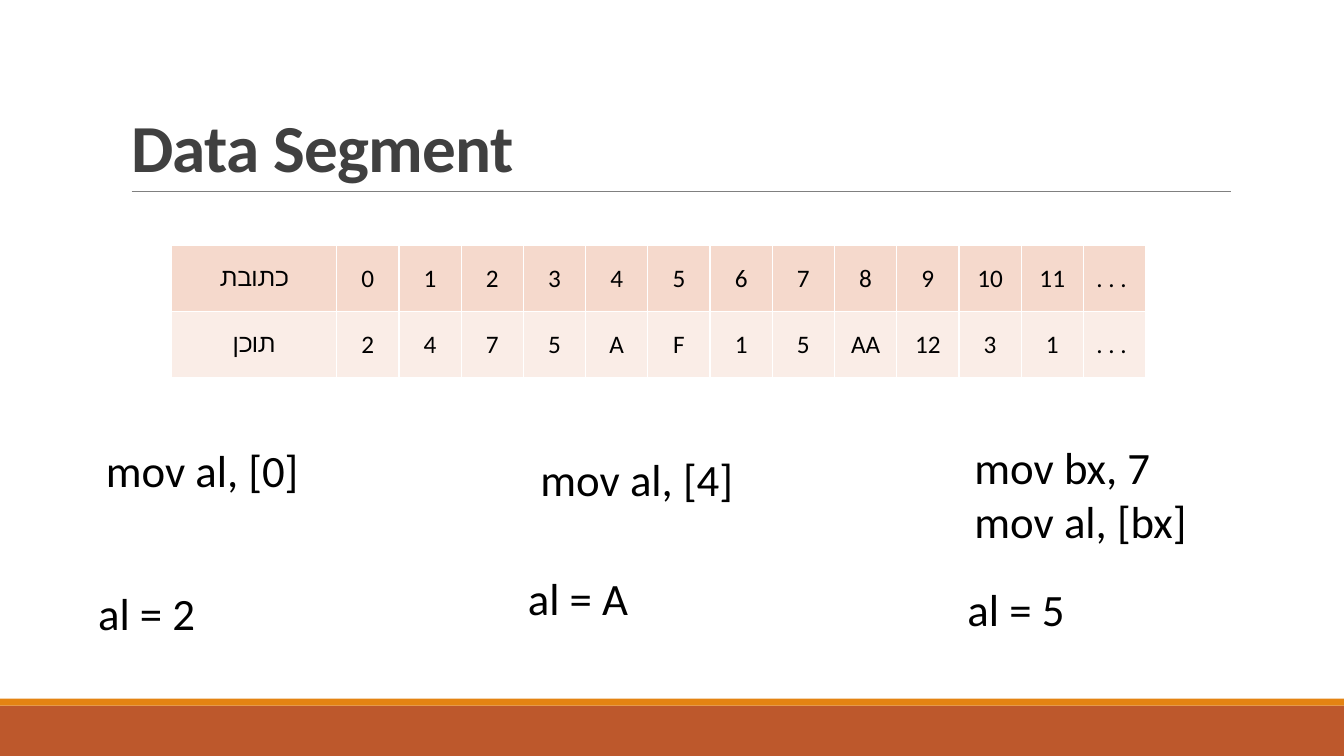
from lxml import etree
from pptx import Presentation
from pptx.dml.color import RGBColor
from pptx.enum import shapes, text
from pptx.oxml import ns
from pptx.util import Pt

TITLE = "Data Segment"
MEMORY = [
    ("F5D9CC", ["כתובת", *map(str, range(12)), ". . . "]),
    ("FAEDE7", ["תוכן", *"2 4 7 5 A F 1 5 AA 12 3 1".split(), ". . . "]),
]
BARS = [("BD582C", 504, 36), ("E48312", 499, 5)]  # colour, top, height
CODE = [  # text, left, top, width, height
    ("mov al, [0]", 68.5, 313, 153, 85),
    ("al = 2", 63, 414.5, 200, 85),
    ("mov al, [4]", 379, 319, 153, 85),
    ("al = A", 370, 404, 200, 85),
    ("mov bx, 7\vmov al, [bx]", 689, 310.5, 200, 124),
    ("al = 5", 684, 412, 200, 85),
]
WIDTH, HEIGHT = 960, 540
LABEL_W, CELL_W, ROW_H = 118, 44.45, 47.2
TABLE_LEFT, TABLE_TOP = 122.5, 175.5


def rgb(hex_colour):
    return RGBColor.from_string(hex_colour)


def box(left, top, width, height):
    return [Pt(v) for v in (left, top, width, height)]


def write(tf, words, colour="000000", align=text.PP_ALIGN.LEFT, **font):
    tf.word_wrap = True
    p = tf.paragraphs[0]
    p.text = words
    p.alignment = align
    for r in p.runs:
        for key, value in {"name": "Calibri", **font}.items():
            setattr(r.font, key, value)
        r.font.color.rgb = rgb(colour)
    return p


def add_borders(cell):
    """Draw a 1 pt white line on each side of the cell, ahead of its fill."""
    pr = cell._tc.get_or_add_tcPr()
    for i, side in enumerate(("lnL", "lnR", "lnT", "lnB")):
        ln = etree.Element(ns.qn(f"a:{side}"), w=str(Pt(1)))
        fill = etree.SubElement(ln, ns.qn("a:solidFill"))
        etree.SubElement(fill, ns.qn("a:srgbClr"), val="FFFFFF")
        pr.insert(i, ln)


def add_frame(s):
    for colour, top, height in BARS:
        sp = s.shapes.add_shape(shapes.MSO_SHAPE.RECTANGLE, *box(0, top, WIDTH, height))
        sp.shadow.inherit = False
        sp.fill.solid()
        sp.fill.fore_color.rgb = rgb(colour)
        sp.line.fill.background()
    rule = s.shapes.add_connector(shapes.MSO_CONNECTOR.STRAIGHT, *box(94, 136.7, 879, 136.7))
    rule.line.color.rgb = rgb("808080")
    rule.line.width = Pt(0.5)
    etree.SubElement(rule._element.spPr, ns.qn("a:effectLst"))


def add_title(s):
    sp = s.shapes.title
    sp.left, sp.top, sp.width, sp.height = box(86.4, 22.5, 792, 114.2)
    sp.text_frame.vertical_anchor = text.MSO_ANCHOR.BOTTOM
    p = write(sp.text_frame, TITLE, "404040", size=Pt(48), bold=True)
    p.line_spacing = 0.85
    p.runs[0].font._element.set("spc", "-50")


def add_memory(s):
    columns = len(MEMORY[0][1])
    width = LABEL_W + CELL_W * (columns - 1)
    place = box(TABLE_LEFT, TABLE_TOP, width, ROW_H * len(MEMORY))
    table = s.shapes.add_table(len(MEMORY), columns, *place).table
    for i, column in enumerate(table.columns):
        column.width = Pt(CELL_W if i else LABEL_W)
    for row, (colour, values) in zip(table.rows, MEMORY):
        row.height = Pt(ROW_H)
        for cell, value in zip(row.cells, values):
            cell.fill.solid()
            cell.fill.fore_color.rgb = rgb(colour)
            cell.vertical_anchor = text.MSO_ANCHOR.MIDDLE
            write(cell.text_frame, value, align=text.PP_ALIGN.CENTER, size=Pt(18), bold=False)
            add_borders(cell)


def main():
    prs = Presentation()
    prs.slide_width, prs.slide_height = Pt(WIDTH), Pt(HEIGHT)
    s = prs.slides.add_slide(prs.slide_layouts[5])
    add_frame(s)
    add_title(s)
    add_memory(s)
    for words, *place in CODE:
        write(s.shapes.add_textbox(*box(*place)).text_frame, words, size=Pt(32))
    prs.save("out.pptx")


if __name__ == "__main__":
    main()
